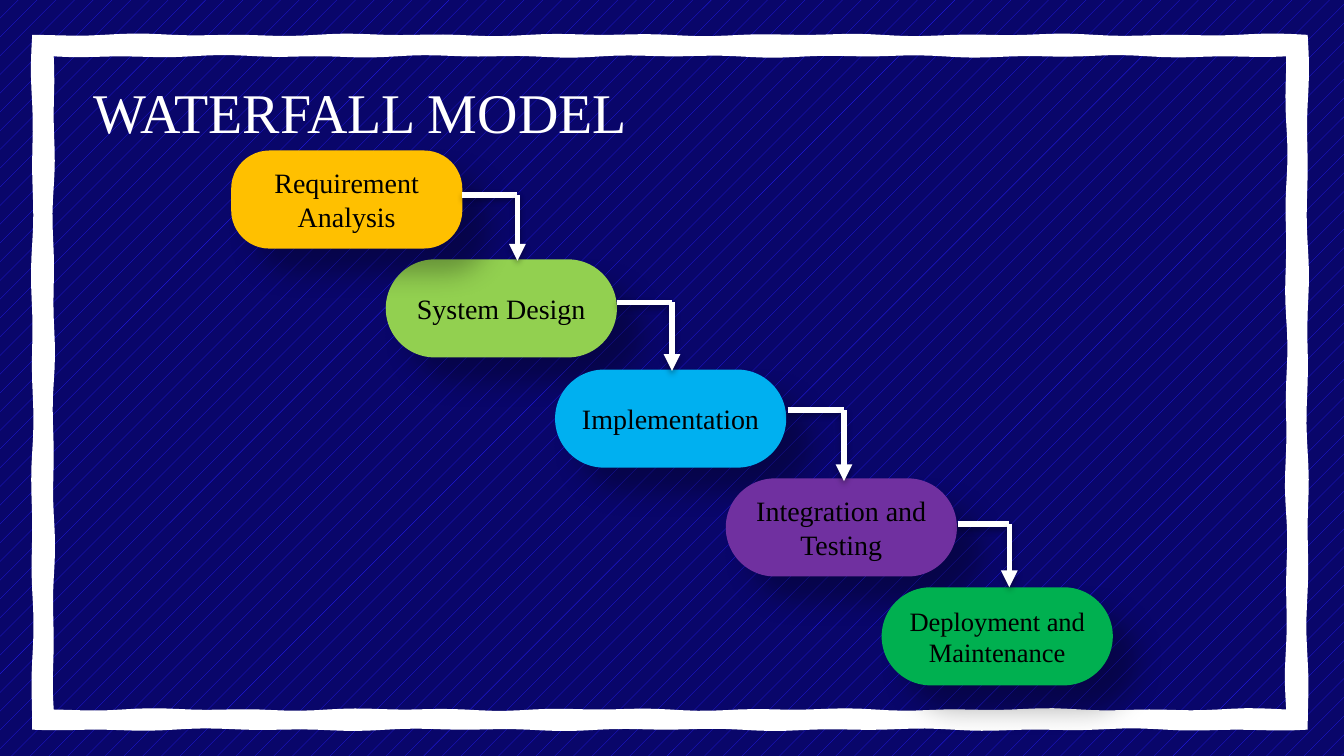
from math import pi, sin

from lxml.etree import SubElement
from pptx import Presentation
from pptx.dml.color import RGBColor
from pptx.enum.dml import MSO_PATTERN
from pptx.enum.shapes import MSO_CONNECTOR, MSO_SHAPE
from pptx.enum.text import MSO_ANCHOR, MSO_AUTO_SIZE, PP_ALIGN
from pptx.oxml.ns import qn
from pptx.util import Inches, Pt

FONT = "Times New Roman"
NAVY = RGBColor(0x09, 0x06, 0x6A)
BLUE = RGBColor(0x23, 0x1D, 0xF2)
WHITE = RGBColor(0xFF, 0xFF, 0xFF)
BLACK = RGBColor(0x00, 0x00, 0x00)
AMBER = RGBColor(0xFF, 0xC0, 0x00)
LIME = RGBColor(0x92, 0xD0, 0x50)
SKY = RGBColor(0x00, 0xB0, 0xF0)
PURPLE = RGBColor(0x70, 0x30, 0xA0)
GREEN = RGBColor(0x00, 0xB0, 0x50)

BOX_W, BOX_H = 1.72, 0.73

# text, left, top, fill, corner, font size; the first step lies on top
STEPS = [
    ("System Design", 2.87, 1.93, LIME, 0.5, 15),
    ("Implementation", 4.13, 2.75, SKY, 0.5, 15),
    ("Integration and Testing", 5.4, 3.56, PURPLE, 0.5, 15),
    ("Deployment and Maintenance", 6.56, 4.37, GREEN, 0.5, 14.2),
    ("Requirement Analysis", 1.72, 1.12, AMBER, 0.39, 15),
]

# start x, start y, corner x, end y
ELBOWS = [
    (3.44, 1.45, 3.85, 1.94),
    (4.59, 2.25, 5, 2.76),
    (5.86, 3.05, 6.28, 3.58),
    (7.13, 3.9, 7.51, 4.37),
]


def add_shadow(effects, alpha, blur, dist, angle):
    shade = SubElement(effects, qn("a:outerShdw"), blurRad=str(Pt(blur)),
                       dist=str(Pt(dist)), dir=str(angle * 60000),
                       algn="ctr", rotWithShape="0")
    color = SubElement(shade, qn("a:srgbClr"), val=str(BLACK))
    SubElement(color, qn("a:alpha"), val=str(alpha * 1000))


def style_text(frame, text, size, color):
    frame.text = text
    font = frame.paragraphs[0].runs[0].font
    font.name, font.size = FONT, Pt(size)
    font.color.rgb = color


def rough_edge(left, top, right, bottom, phase):
    """Points round a rectangle whose sides waver like a brush stroke."""
    corners = [(left, top), (right, top), (right, bottom), (left, bottom)]
    points = []
    for side, (x, y) in enumerate(corners):
        end_x, end_y = corners[(side + 1) % 4]
        count = 90 if side % 2 == 0 else 50
        for step in range(count):
            part = step / count
            angle = pi * step / 5
            wave = 0.01 * sin(angle) * sin(angle * 0.37 + phase + side)
            px, py = x + (end_x - x) * part, y + (end_y - y) * part
            if side % 2 == 0:
                py += wave
            else:
                px += wave
            points.append((Inches(px), Inches(py)))
    return points


def add_frame(slide):
    outer = rough_edge(0.24, 0.26, 9.73, 5.43, 0)
    inner = rough_edge(0.4, 0.42, 9.57, 5.28, 2)
    pen = slide.shapes.build_freeform(*outer[0])
    pen.add_line_segments(outer[1:], close=True)
    pen.move_to(*inner[0])
    pen.add_line_segments(inner[1:], close=True)
    frame = pen.convert_to_shape()
    frame.fill.solid()
    frame.fill.fore_color.rgb = WHITE
    frame.line.fill.background()
    frame.shadow.inherit = False


def add_step(slide, text, left, top, fill, corner, size):
    box = slide.shapes.add_shape(MSO_SHAPE.ROUNDED_RECTANGLE, Inches(left),
                                 Inches(top), Inches(BOX_W), Inches(BOX_H))
    box.adjustments[0] = corner
    box.fill.solid()
    box.fill.fore_color.rgb = fill
    box.line.fill.background()
    box.shadow.inherit = False
    add_shadow(box._element.spPr.find(qn("a:effectLst")), 30, 15, 18, 45)
    frame = box.text_frame
    frame.word_wrap = True
    frame.vertical_anchor = MSO_ANCHOR.MIDDLE
    frame.margin_left = frame.margin_right = Inches(0.07)
    frame.margin_top = frame.margin_bottom = Inches(0.04)
    style_text(frame, text, size, BLACK)
    frame.paragraphs[0].alignment = PP_ALIGN.CENTER


def add_line(slide, x1, y1, x2, y2, arrow=False):
    line = slide.shapes.add_connector(MSO_CONNECTOR.STRAIGHT, Inches(x1),
                                      Inches(y1), Inches(x2), Inches(y2))
    line.line.color.rgb = WHITE
    line.line.width = Pt(3)
    props = line._element.spPr
    if arrow:
        SubElement(props.find(qn("a:ln")), qn("a:tailEnd"), type="triangle")
    add_shadow(SubElement(props, qn("a:effectLst")), 35, 3.1, 1.8, 90)


def add_elbow(slide, x, y, turn, end):
    add_line(slide, x, y, turn, y)
    add_line(slide, turn, y, turn, end, arrow=True)


def add_title(slide):
    box = slide.shapes.add_textbox(Inches(0.6), Inches(0.53),
                                   Inches(4.6), Inches(0.61))
    frame = box.text_frame
    frame.word_wrap = True
    frame.auto_size = MSO_AUTO_SIZE.SHAPE_TO_FIT_TEXT
    style_text(frame, "WATERFALL MODEL", 30, WHITE)


def main():
    deck = Presentation()
    deck.slide_width = Inches(10)
    deck.slide_height = Inches(10 * 9 / 16)
    slide = deck.slides.add_slide(deck.slide_layouts[6])
    fill = slide.background.fill
    fill.patterned()
    fill.pattern = MSO_PATTERN.PERCENT_5
    fill.fore_color.rgb, fill.back_color.rgb = BLUE, NAVY
    add_frame(slide)
    for step in STEPS:
        add_step(slide, *step)
    for elbow in ELBOWS:
        add_elbow(slide, *elbow)
    add_title(slide)
    deck.save("out.pptx")


if __name__ == "__main__":
    main()
